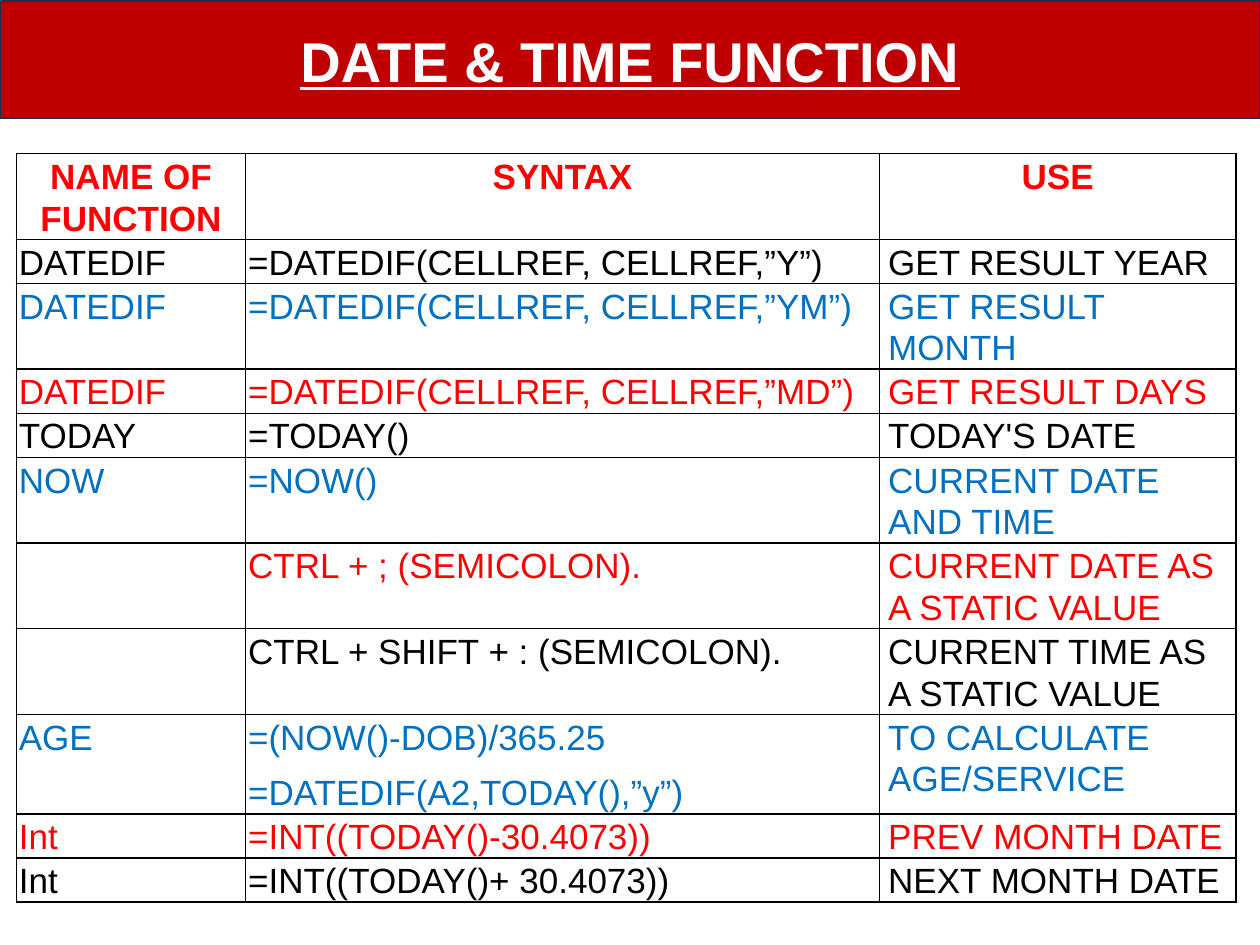
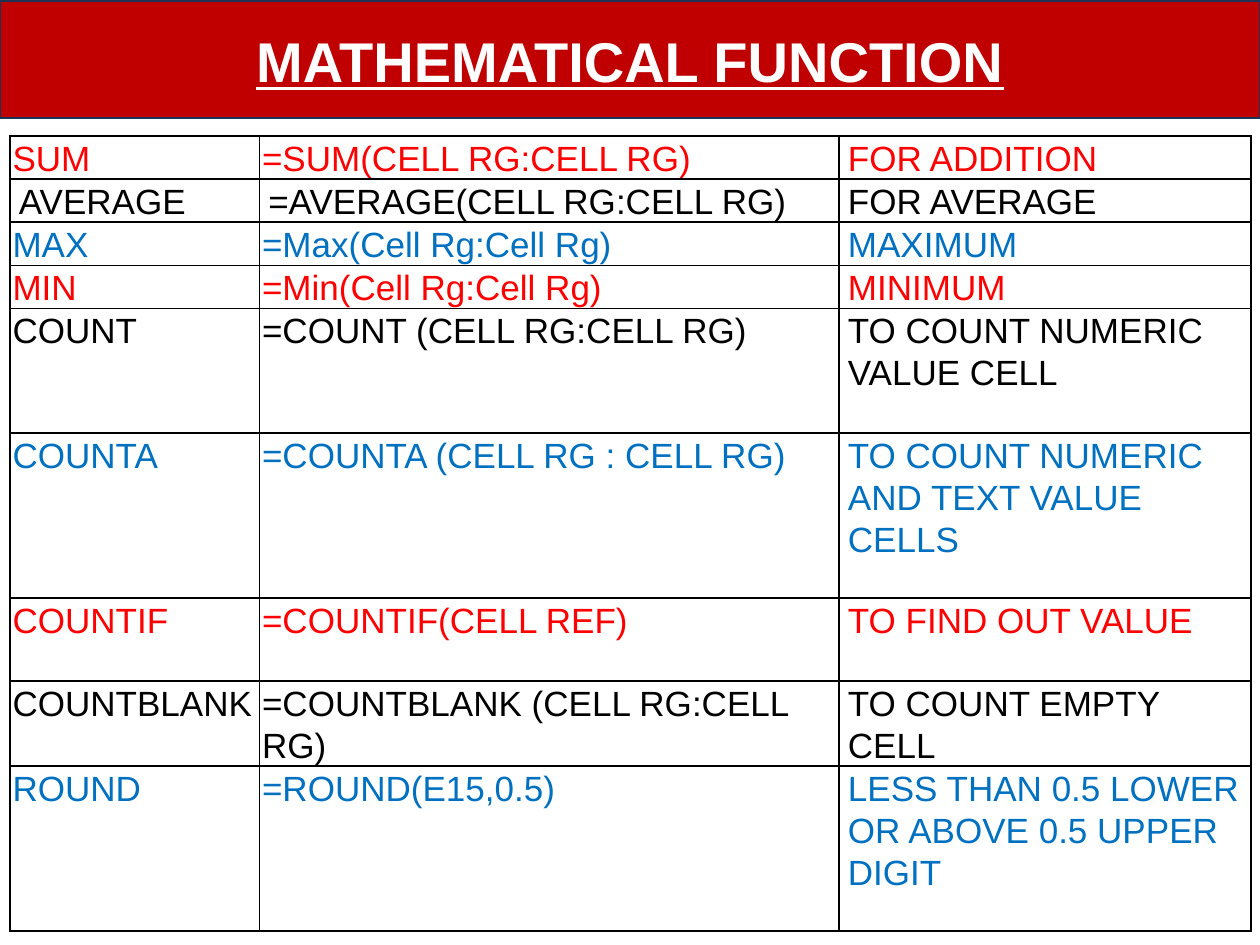
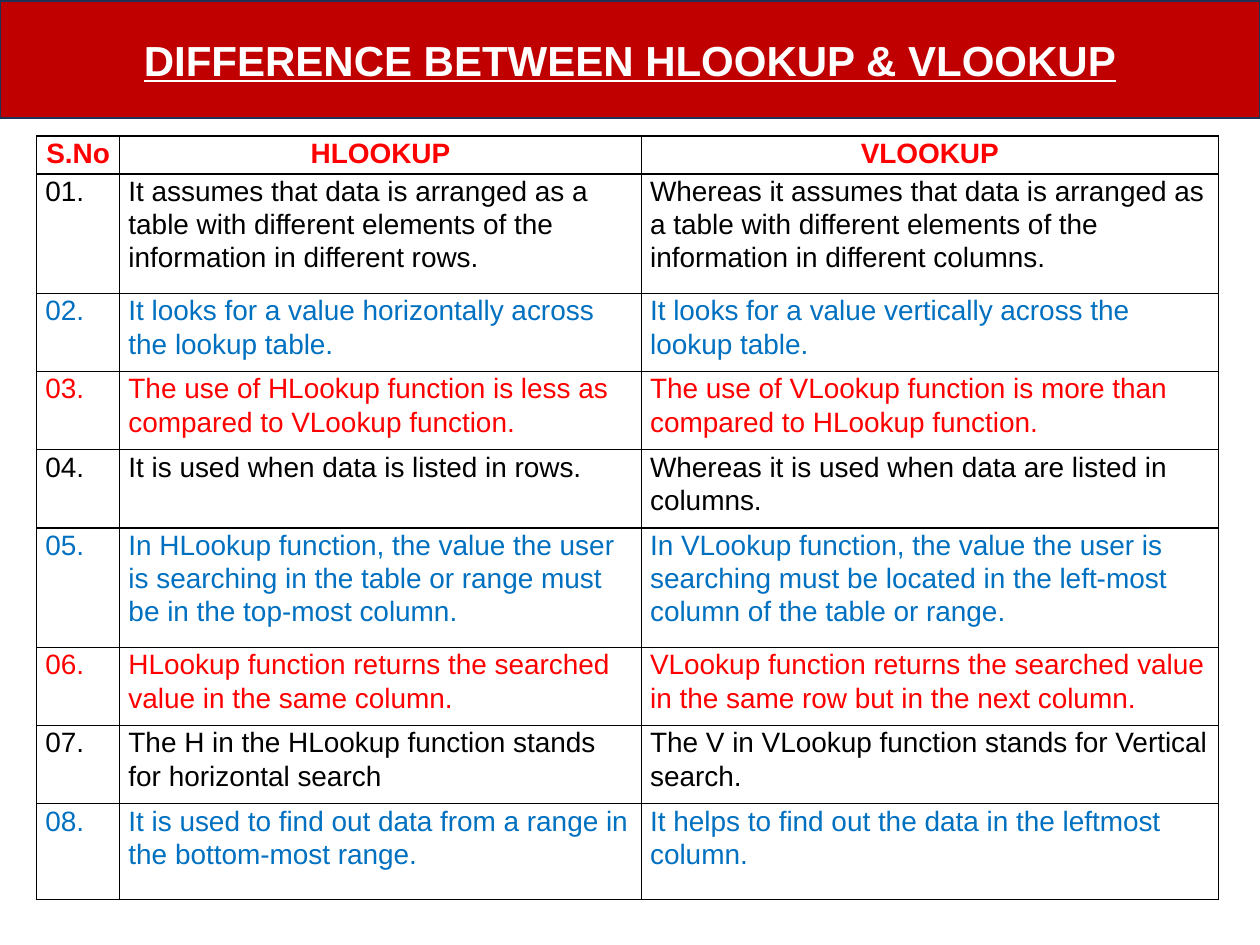
from dataclasses import dataclass

from pptx import Presentation
from pptx.dml.color import RGBColor
from pptx.enum.text import MSO_ANCHOR, PP_ALIGN
from pptx.oxml import parse_xml
from pptx.oxml.ns import nsdecls
from pptx.util import Inches, Pt

RED = RGBColor(0xFF, 0x00, 0x00)
BLACK = RGBColor(0x00, 0x00, 0x00)
BLUE = RGBColor(0x00, 0x70, 0xC0)
WHITE = RGBColor(0xFF, 0xFF, 0xFF)
BAND_RED = RGBColor(0xC0, 0x00, 0x00)
BAND_EDGE = RGBColor(0x1E, 0x32, 0x56)
ROW_COLOURS = (BLACK, BLUE, RED)

FONT = "Arial"
TITLE_ONLY = 5
SLIDE_W, SLIDE_H = Inches(10), Inches(7.5)
BAND_BOX = (0, 0.13, 100, 12.4)
NARROW, WIDE = Inches(0.02), Inches(0.07)


@dataclass
class Sheet:
    title: str
    box: tuple
    cols: tuple
    rows: tuple
    cells: list
    title_size: int = 32
    size: int = 20
    header: bool = True
    first_colour: int = 0
    narrow_cols: int = 2
    wide_rows: tuple = (0,)
    top: float = 0.01
    space_after: int = 0


DATES = Sheet(
    title="DATE & TIME FUNCTION",
    box=(1.3, 16.27, 96.8, 79.2),
    cols=(1.82, 5.03, 2.83),
    rows=(0.68, 0.35, 0.68, 0.35, 0.35, 0.68, 0.68, 0.68, 0.79, 0.35, 0.35),
    space_after=8,
    cells=[
        ("NAME OF FUNCTION", "SYNTAX", "USE"),
        ("DATEDIF", "=DATEDIF(CELLREF, CELLREF,”Y”)", "GET RESULT YEAR"),
        ("DATEDIF", "=DATEDIF(CELLREF, CELLREF,”YM”)", "GET RESULT MONTH"),
        ("DATEDIF", "=DATEDIF(CELLREF, CELLREF,”MD”)", "GET RESULT DAYS"),
        ("TODAY", "=TODAY()", "TODAY'S DATE"),
        ("NOW", "=NOW()", "CURRENT DATE AND TIME"),
        ("", "CTRL + ; (SEMICOLON).", "CURRENT DATE AS A STATIC VALUE"),
        ("", "CTRL + SHIFT + : (SEMICOLON).", "CURRENT TIME AS A STATIC VALUE"),
        ("AGE", "=(NOW()-DOB)/365.25\n=DATEDIF(A2,TODAY(),”y”)",
         "TO CALCULATE AGE/SERVICE"),
        ("Int", "=INT((TODAY()-30.4073))", "PREV MONTH DATE"),
        ("Int", "=INT((TODAY()+ 30.4073))", "NEXT MONTH DATE"),
    ],
)

MATHS = Sheet(
    title="MATHEMATICAL FUNCTION",
    box=(0.8, 14.4, 98.5, 83.87),
    cols=(1.98, 4.6, 3.27),
    rows=(0.34, 0.34, 0.34, 0.34, 0.99, 1.31, 0.66, 0.66, 1.31),
    header=False,
    first_colour=2,
    wide_rows=(1,),
    cells=[
        ("SUM", "=SUM(CELL RG:CELL RG)", "FOR ADDITION"),
        ("AVERAGE", "=AVERAGE(CELL RG:CELL RG)", "FOR AVERAGE"),
        ("MAX", "=Max(Cell Rg:Cell Rg)", "MAXIMUM"),
        ("MIN", "=Min(Cell Rg:Cell Rg)", "MINIMUM"),
        ("COUNT", "=COUNT (CELL RG:CELL RG)", "TO COUNT NUMERIC VALUE CELL"),
        ("COUNTA", "=COUNTA (CELL RG : CELL RG)",
         "TO COUNT NUMERIC AND TEXT VALUE CELLS"),
        ("COUNTIF", "=COUNTIF(CELL REF)", "TO FIND OUT VALUE"),
        ("COUNTBLANK", "=COUNTBLANK (CELL RG:CELL RG)", "TO COUNT EMPTY CELL"),
        ("ROUND", "=ROUND(E15,0.5)",
         "LESS THAN 0.5 LOWER OR ABOVE 0.5 UPPER DIGIT"),
    ],
)

LOOKUPS = Sheet(
    title="DIFFERENCE BETWEEN HLOOKUP & VLOOKUP",
    box=(2.9, 14.4, 93.8, 80.8),
    cols=(0.66, 4.14, 4.58),
    rows=(0.3, 0.95, 0.62, 0.62, 0.62, 0.95, 0.62, 0.62, 0.76),
    title_size=24,
    size=16,
    narrow_cols=0,
    top=0,
    cells=[
        ("S.No", "HLOOKUP", "VLOOKUP"),
        ("01.",
         "It assumes that data is arranged as a table with different elements "
         "of the information in different rows.",
         "Whereas it assumes that data is arranged as a table with different "
         "elements of the information in different columns."),
        ("02.",
         "It looks for a value horizontally across the lookup table.",
         "It looks for a value vertically across the lookup table."),
        ("03.",
         "The use of HLookup function is less as compared to VLookup function.",
         "The use of VLookup function is more than compared to HLookup function."),
        ("04.",
         "It is used when data is listed in rows.",
         "Whereas it is used when data are listed in columns."),
        ("05.",
         "In HLookup function, the value the user is searching in the table or "
         "range must be in the top-most column.",
         "In VLookup function, the value the user is searching must be located "
         "in the left-most column of the table or range."),
        ("06.",
         "HLookup function returns the searched value in the same column.",
         "VLookup function returns the searched value in the same row but in "
         "the next column."),
        ("07.",
         "The H in the HLookup function stands for horizontal search",
         "The V in VLookup function stands for Vertical search."),
        ("08.",
         "It is used to find out data from a range in the bottom-most range.",
         "It helps to find out the data in the leftmost column."),
    ],
)


def place(box):
    x, y, w, h = box
    return (round(SLIDE_W * x / 100), round(SLIDE_H * y / 100),
            round(SLIDE_W * w / 100), round(SLIDE_H * h / 100))


def style_runs(p, size, colour, bold=False, underline=False):
    for r in p.runs:
        r.font.name = FONT
        r.font.size = Pt(size)
        r.font.bold = bold
        r.font.underline = underline
        r.font.color.rgb = colour


def add_title_band(s, text, size, box):
    sp = s.shapes.title
    sp.left, sp.top, sp.width, sp.height = place(box)
    sp.fill.solid()
    sp.fill.fore_color.rgb = BAND_RED
    sp.line.color.rgb = BAND_EDGE
    sp.line.width = Pt(1)
    tf = sp.text_frame
    tf.text = text
    tf.word_wrap = True
    tf.vertical_anchor = MSO_ANCHOR.MIDDLE
    p = tf.paragraphs[0]
    p.alignment = PP_ALIGN.CENTER
    style_runs(p, size, WHITE, bold=True, underline=True)


def add_borders(cell):
    tc_pr = cell._tc.get_or_add_tcPr()
    for i, side in enumerate("LRTB"):
        tc_pr.insert(i, parse_xml(
            f'<a:ln{side} {nsdecls("a")} w="{Pt(1)}"><a:solidFill>'
            f'<a:srgbClr val="{BLACK}"/></a:solidFill></a:ln{side}>'))


def fill_cell(cell, text, sheet, row, col):
    is_header = sheet.header and row == 0
    step = row - sheet.header + sheet.first_colour
    colour = RED if is_header else ROW_COLOURS[step % len(ROW_COLOURS)]
    narrow = col < sheet.narrow_cols and row not in sheet.wide_rows
    cell.margin_left = cell.margin_right = NARROW if narrow else WIDE
    cell.margin_top, cell.margin_bottom = Inches(sheet.top), 0
    cell.fill.background()
    add_borders(cell)
    cell.text_frame.text = text
    for p in cell.text_frame.paragraphs:
        p.alignment = PP_ALIGN.CENTER if is_header else PP_ALIGN.LEFT
        p.line_spacing = 1.07
        p.space_after = Pt(sheet.space_after)
        style_runs(p, sheet.size, colour, bold=is_header)


def add_function_table(s, sheet, box):
    x, y, w, h = place(box)
    table = s.shapes.add_table(
        len(sheet.rows), len(sheet.cols), x, y, w, h).table
    table.first_row = table.horz_banding = False
    for column, share in zip(table.columns, sheet.cols):
        column.width = round(w * share / sum(sheet.cols))
    for row, share in zip(table.rows, sheet.rows):
        row.height = round(h * share / sum(sheet.rows))
    for i, texts in enumerate(sheet.cells):
        for j, text in enumerate(texts):
            fill_cell(table.cell(i, j), text, sheet, i, j)


def add_sheet_slide(prs, sheet):
    s = prs.slides.add_slide(prs.slide_layouts[TITLE_ONLY])
    add_title_band(s, sheet.title, sheet.title_size, BAND_BOX)
    add_function_table(s, sheet, sheet.box)


def main():
    prs = Presentation()
    prs.slide_width, prs.slide_height = SLIDE_W, SLIDE_H
    for sheet in (DATES, MATHS, LOOKUPS):
        add_sheet_slide(prs, sheet)
    prs.save("out.pptx")


if __name__ == "__main__":
    main()
